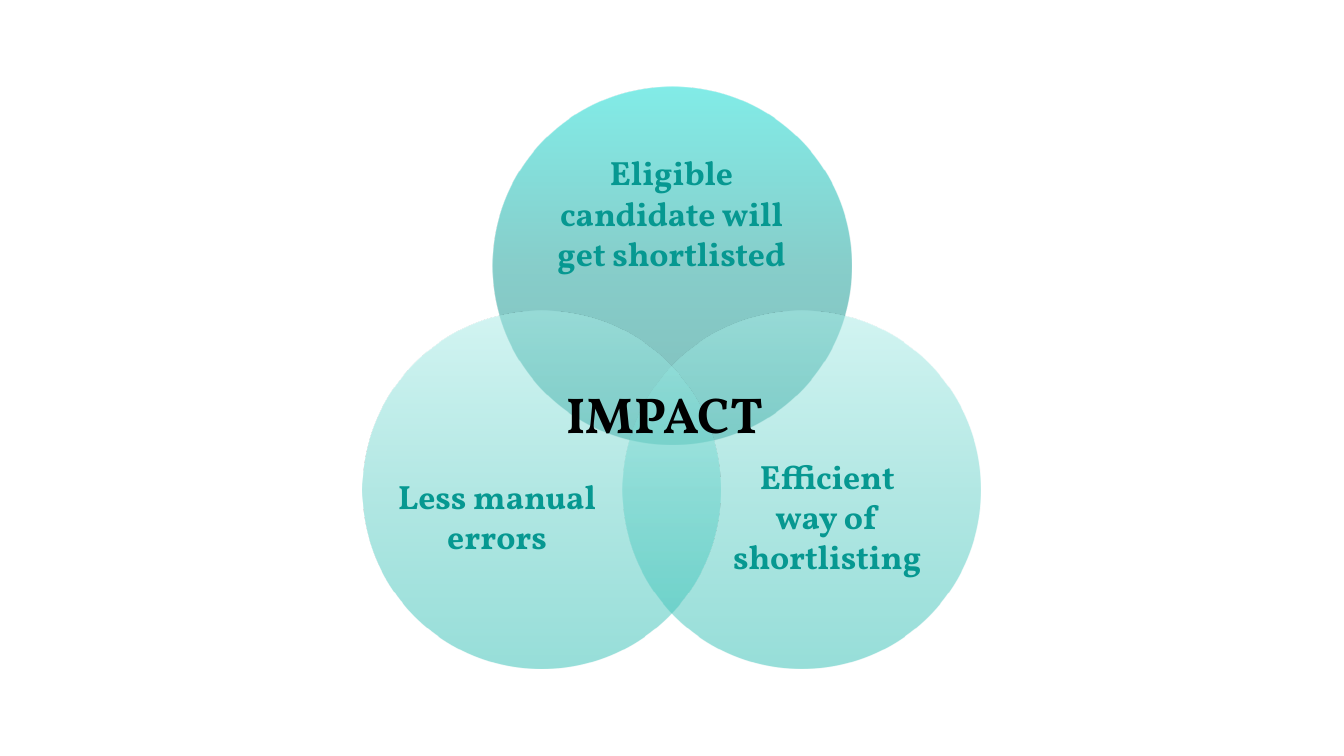
from lxml import etree
from pptx import Presentation
from pptx.dml.color import RGBColor
from pptx.enum import shapes, text
from pptx.oxml import ns
from pptx.util import Inches, Pt


def color(value):
    return RGBColor.from_string(value)


class VennSlide:
    font = "Vollkorn"
    black = "000000"
    teal = "069891"
    dark_stops = ("05DBD2", "0F9E97", "057E79")
    light_stops = ("A9ECE7", "66D2CA", "2EBFB4")
    diameter = 3.55
    opacity = 50

    def __init__(self, prs):
        self.s = prs.slides.add_slide(prs.slide_layouts[6])
        self.venn = self.s.shapes.add_group_shape()

    def circle(self, left, top, stops):
        size = Inches(self.diameter)
        sp = self.venn.shapes.add_shape(
            shapes.MSO_SHAPE.OVAL, Inches(left), Inches(top), size, size)
        sp.shadow.inherit = False
        sp.line.fill.background()
        sp.fill.gradient()
        sp.fill.gradient_angle = 270
        gs_list = sp._element.spPr.find(".//" + ns.qn("a:gsLst"))
        for gs in list(gs_list):
            gs_list.remove(gs)
        for i, stop in enumerate(stops):
            gs = etree.SubElement(gs_list, ns.qn("a:gs"), pos=str(i * 50000))
            clr = etree.SubElement(gs, ns.qn("a:srgbClr"), val=stop)
            etree.SubElement(clr, ns.qn("a:alpha"), val=str(self.opacity * 1000))

    def label(self, words, left, top, width, height, size=24, fill=teal,
              align=text.PP_ALIGN.CENTER):
        sp = self.s.shapes.add_textbox(
            Inches(left), Inches(top), Inches(width), Inches(height))
        tf = sp.text_frame
        tf.word_wrap = True
        tf.auto_size = text.MSO_AUTO_SIZE.SHAPE_TO_FIT_TEXT
        tf.text = words
        p = tf.paragraphs[0]
        p.alignment = align
        r = p.runs[0]
        r.font.name = self.font
        r.font.size = Pt(size)
        r.font.bold = True
        r.font.color.rgb = color(fill)


def main():
    prs = Presentation()
    prs.slide_width, prs.slide_height = Inches(13.33), Inches(7.5)
    slide = VennSlide(prs)

    slide.circle(4.89, 0.86, slide.dark_stops)
    for left in (6.17, 3.6):
        slide.circle(left, 3.08, slide.light_stops)

    slide.label("IMPACT", 5.52, 3.75, 2.28, 0.71, size=36, fill=slide.black,
                align=text.PP_ALIGN.LEFT)
    slide.label("Less manual errors", 3.75, 4.67, 2.36, 1.31)
    slide.label("Efficient way of shortlisting", 7.14, 4.47, 2.13, 1.72)
    slide.label("Eligible candidate will get shortlisted", 5.4, 1.46, 2.52, 1.31)

    prs.save("out.pptx")


if __name__ == "__main__":
    main()
